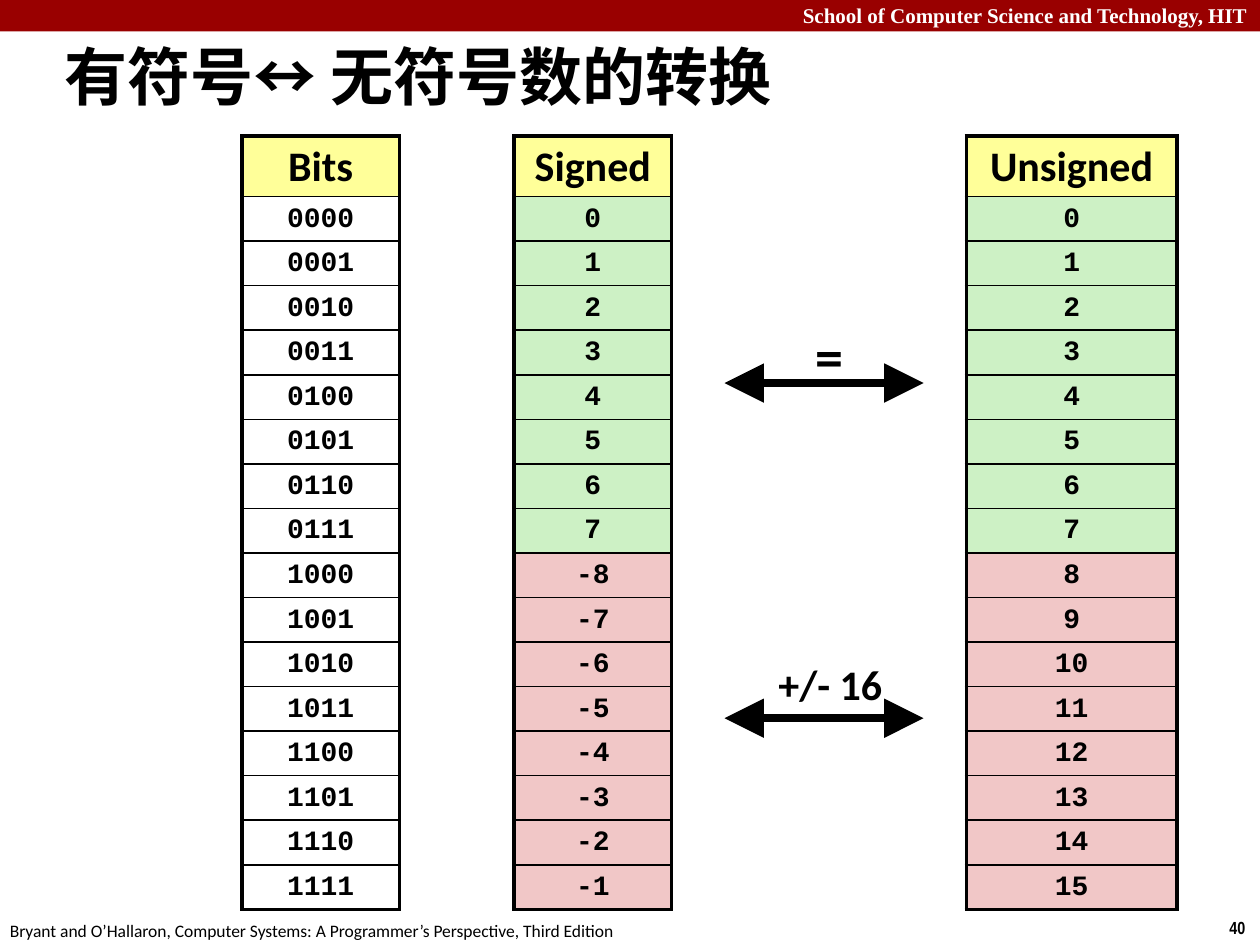
import pptx
import pptx.dml.color
import pptx.enum.shapes
import pptx.enum.text
import pptx.oxml
import pptx.oxml.ns
import pptx.util

Inches = pptx.util.Inches
Pt = pptx.util.Pt
RGBColor = pptx.dml.color.RGBColor
ALIGN = pptx.enum.text.PP_ALIGN
ANCHOR = pptx.enum.text.MSO_ANCHOR

BLACK = RGBColor(0x00, 0x00, 0x00)
WHITE = RGBColor(0xFF, 0xFF, 0xFF)
DARK_RED = RGBColor(0x99, 0x00, 0x00)
YELLOW = RGBColor(0xFF, 0xFF, 0x99)
GREEN = RGBColor(0xCD, 0xF1, 0xC5)
PINK = RGBColor(0xF1, 0xC7, 0xC7)

BIT_COUNT = 4
VALUE_COUNT = 2 ** BIT_COUNT
HALF = VALUE_COUNT // 2
TABLE_TOP, TABLE_HEIGHT, HEADER_HEIGHT = 1.08, 6.13, 0.48
THICK, THIN = 2.25, 1


def write_text(frame, text, size, font="Calibri", color=BLACK, bold=True,
               align=ALIGN.LEFT, line_spacing=None):
    """Put one formatted paragraph into a text frame."""
    paragraph = frame.paragraphs[0]
    paragraph.alignment = align
    if line_spacing:
        paragraph.line_spacing = line_spacing
    run = paragraph.add_run()
    run.text = text
    run.font.size = Pt(size)
    run.font.name = font
    run.font.bold = bold
    run.font.color.rgb = color


def set_margins(target, horizontal, vertical):
    """Set the inner margins of a text frame or table cell."""
    target.margin_left = target.margin_right = Inches(horizontal)
    target.margin_top = target.margin_bottom = Inches(vertical)


def add_label(slide, text, left, top, width, height, wrap=False,
              margins=(0.1, 0.05), anchor=ANCHOR.TOP, **text_format):
    """Add a text box holding one formatted line."""
    box = slide.shapes.add_textbox(Inches(left), Inches(top), Inches(width), Inches(height))
    frame = box.text_frame
    frame.word_wrap = wrap
    frame.vertical_anchor = anchor
    set_margins(frame, *margins)
    write_text(frame, text, **text_format)


def add_banner(slide):
    """Add the red strip and school name along the top edge."""
    banner = slide.shapes.add_shape(
        pptx.enum.shapes.MSO_SHAPE.RECTANGLE, 0, 0, Inches(10), Inches(0.25))
    banner.shadow.inherit = False
    banner.fill.solid()
    banner.fill.fore_color.rgb = DARK_RED
    banner.line.fill.background()
    add_label(slide, "School of Computer Science and Technology, HIT", 0, -0.03, 10, 0.3,
              wrap=True, size=12, font="Times New Roman", color=WHITE, align=ALIGN.RIGHT)


def format_title(slide, text):
    """Place and format the title placeholder."""
    title = slide.shapes.title
    title.left, title.top = Inches(0.44), Inches(0.27)
    title.width, title.height = Inches(5.85), Inches(0.66)
    title.text_frame.word_wrap = False
    title.text_frame.vertical_anchor = ANCHOR.MIDDLE
    set_margins(title.text_frame, 0.07, 0.03)
    write_text(title.text_frame, text, size=36)


def set_borders(cell, top, bottom):
    """Draw black borders around a cell, thick at both sides."""
    properties = cell._tc.get_or_add_tcPr()
    for tag, width in (("lnL", THICK), ("lnR", THICK), ("lnT", top), ("lnB", bottom)):
        properties.append(pptx.oxml.parse_xml(
            f'<a:{tag} {pptx.oxml.ns.nsdecls("a")} w="{Pt(width)}">'
            f'<a:solidFill><a:srgbClr val="{BLACK}"/></a:solidFill></a:{tag}>'))


def add_column_table(slide, heading, values, left, width, fills):
    """Add a one-column table with a heading; fills colour the two halves."""
    row_count = len(values) + 1
    table = slide.shapes.add_table(
        row_count, 1, Inches(left), Inches(TABLE_TOP), Inches(width),
        Inches(TABLE_HEIGHT)).table
    table.first_row = False
    table.horz_banding = False
    row_height = (TABLE_HEIGHT - HEADER_HEIGHT) / len(values)
    for index, text in enumerate([heading, *values]):
        is_heading = index == 0
        table.rows[index].height = Inches(HEADER_HEIGHT if is_heading else row_height)
        cell = table.cell(index, 0)
        cell.vertical_anchor = ANCHOR.MIDDLE
        set_margins(cell, 0.05, 0.05)
        set_borders(cell, THICK if is_heading else THIN,
                    THICK if index == row_count - 1 else THIN)
        fill = YELLOW if is_heading else fills[(index - 1) // HALF]
        if fill is None:
            cell.fill.background()
        else:
            cell.fill.solid()
            cell.fill.fore_color.rgb = fill
        write_text(cell.text_frame, text, size=24 if is_heading else 16,
                   font="Calibri" if is_heading else "Courier New",
                   align=ALIGN.CENTER, line_spacing=0.95)


def add_double_arrow(slide, y):
    """Add a thick horizontal line with large arrowheads at both ends."""
    arrow = slide.shapes.add_connector(
        pptx.enum.shapes.MSO_CONNECTOR.STRAIGHT,
        Inches(7.33), Inches(y), Inches(5.75), Inches(y))
    arrow.line.width = Pt(4.5)
    arrow.line.color.rgb = BLACK
    line = arrow.line._get_or_add_ln()
    namespace = pptx.oxml.ns.nsdecls("a")
    for end in ("headEnd", "tailEnd"):
        line.append(pptx.oxml.parse_xml(
            f'<a:{end} {namespace} type="triangle" w="lg" len="lg"/>'))
    arrow._element.spPr.append(pptx.oxml.parse_xml(f"<a:effectLst {namespace}/>"))


def main():
    """Build the slide and save it."""
    presentation = pptx.Presentation()
    presentation.slide_width, presentation.slide_height = Inches(10), Inches(7.5)
    slide = presentation.slides.add_slide(presentation.slide_layouts[5])

    add_banner(slide)
    add_label(slide, "40", 9.66, 7.23, 0.34, 0.27, size=10, font="Arial Narrow")
    add_label(slide, "Bryant and O’Hallaron, Computer Systems: A Programmer’s Perspective, "
              "Third Edition", -0.02, 7.25, 5.08, 0.27, size=10, bold=False)
    format_title(slide, "有符号↔ 无符号数的转换")

    numbers = range(VALUE_COUNT)
    signed = [str(n if n < HALF else n - VALUE_COUNT) for n in numbers]
    bits = [f"{n:0{BIT_COUNT}b}" for n in numbers]
    add_column_table(slide, "Signed", signed, 4.08, 1.25, (GREEN, PINK))
    add_column_table(slide, "Unsigned", [str(n) for n in numbers], 7.67, 1.67, (GREEN, PINK))
    add_column_table(slide, "Bits", bits, 1.92, 1.25, (None, None))

    add_double_arrow(slide, 3.04)
    add_label(slide, "=", 6.42, 2.5, 0.32, 0.64, margins=(0.05, 0.05), size=32,
              align=ALIGN.CENTER)
    add_double_arrow(slide, 5.7)
    add_label(slide, "+/- 16", 6.08, 5.17, 1.2, 0.51, wrap=True,
              anchor=ANCHOR.MIDDLE, size=24)

    presentation.save("out.pptx")


if __name__ == "__main__":
    main()
